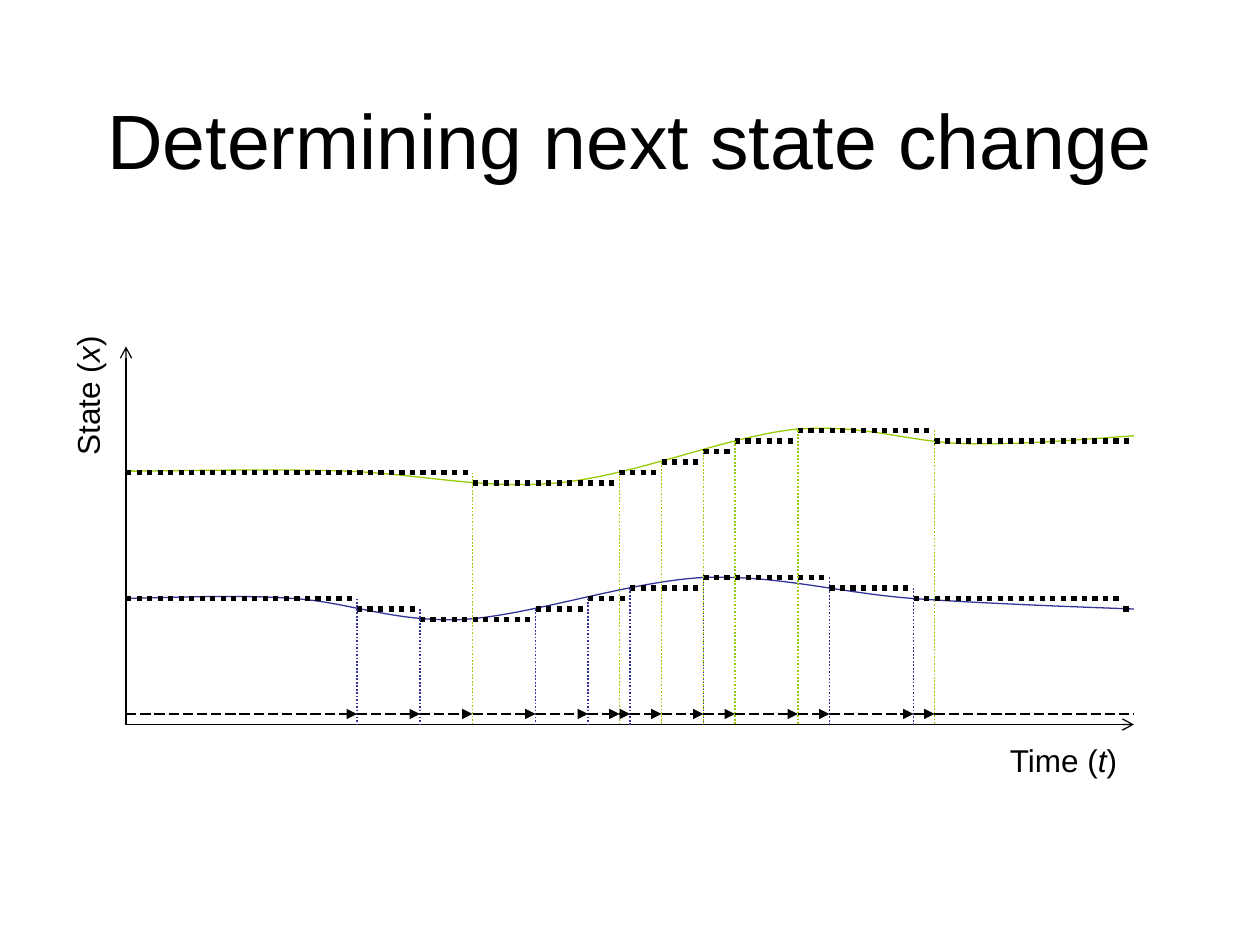
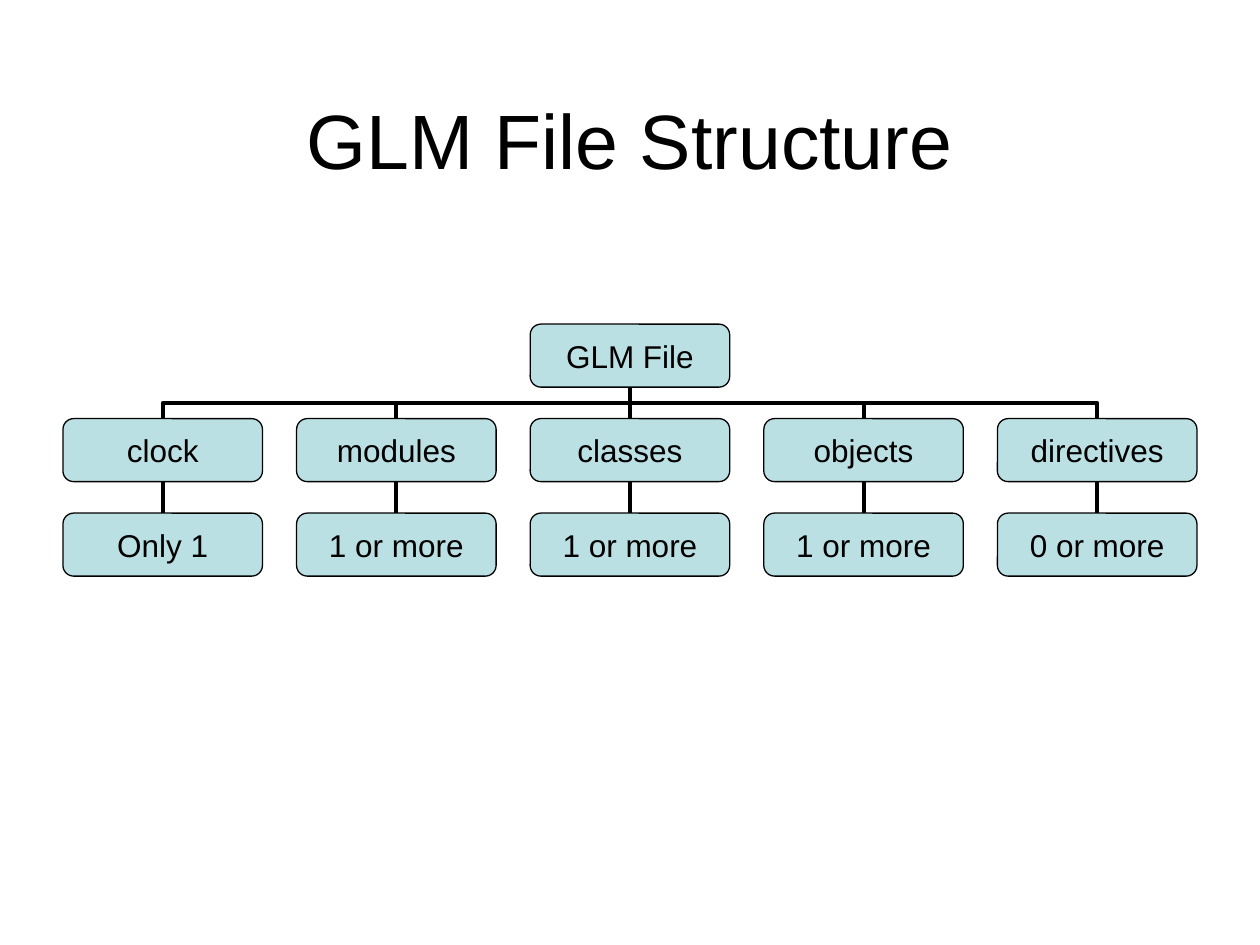
from itertools import pairwise

from pptx import Presentation
from pptx.dml.color import RGBColor
from pptx.enum.dml import MSO_LINE
from pptx.enum.shapes import MSO_CONNECTOR, MSO_SHAPE
from pptx.enum.text import MSO_ANCHOR, MSO_AUTO_SIZE, PP_ALIGN
from pptx.oxml.ns import qn
from pptx.oxml.xmlchemy import OxmlElement
from pptx.util import Emu, Pt

PX = 9525
FONT = "Arial"
BLACK = RGBColor(0x00, 0x00, 0x00)
BLUE = RGBColor(0x33, 0x33, 0x99)
GREEN = RGBColor(0x99, 0xCC, 0x00)
PALE_TEAL = RGBColor(0xBB, 0xE0, 0xE3)
DOTS = MSO_LINE.ROUND_DOT
DASHES = MSO_LINE.LONG_DASH
STRAIGHT = MSO_CONNECTOR.STRAIGHT
ELBOW = MSO_CONNECTOR.ELBOW
ROUNDED = MSO_SHAPE.ROUNDED_RECTANGLE
MIDDLE = MSO_ANCHOR.MIDDLE
FIXED_SIZE = MSO_AUTO_SIZE.NONE
LEFT = PP_ALIGN.LEFT
CENTER = PP_ALIGN.CENTER

TITLE_BOX = (48, 64, 864, 84)
PLOT_BOX = (96, 264, 768, 288)
TREE_BOX = (48, 247, 864, 192)

GREEN_CURVE = [
    (768, 68), (725, 71), (683, 75), (639, 74), (597, 73), (563, 59),
    (511, 63), (459, 68), (386, 99), (328, 104), (272, 109), (223, 97),
    (168, 95), (113, 93), (27, 95), (0, 95),
]
BLUE_CURVE = [
    (0, 192), (43, 191), (85, 189), (128, 192), (171, 195), (204, 210),
    (256, 208), (308, 205), (383, 179), (440, 176), (497, 174), (545, 188),
    (600, 192), (655, 196), (741, 199), (768, 200),
]
GREEN_STEPS = [
    (0, 96), (264, 104), (376, 96), (408, 88), (440, 80), (464, 72),
    (512, 64), (616, 72),
]
BLUE_STEPS = [
    (0, 192), (176, 200), (224, 208), (312, 200), (352, 192), (384, 184),
    (440, 176), (536, 184), (600, 192),
]
BLUE_LAST_STEP = (760, 200)

SECTIONS = [
    ("clock", "Only 1"),
    ("modules", "1 or more"),
    ("classes", "1 or more"),
    ("objects", "1 or more"),
    ("directives", "0 or more"),
]


def px(*lengths):
    return [Emu(round(length * PX)) for length in lengths]


def write_text(frame, text, size=18, align=CENTER, anchor=MIDDLE, wrap=False):
    frame.word_wrap = wrap
    frame.auto_size = FIXED_SIZE
    frame.vertical_anchor = anchor
    paragraph = frame.paragraphs[0]
    paragraph.alignment = align
    for index, part in enumerate(text.split("*")):
        run = paragraph.add_run()
        run.text = part
        run.font.name = FONT
        run.font.size = Pt(size)
        run.font.italic = index % 2 == 1
        run.font.color.rgb = BLACK


def draw_line(slide, start, end, color=BLACK, width=0.75, dash=None, head=None, kind=STRAIGHT):
    connector = slide.shapes.add_connector(kind, *px(*start, *end))
    connector.line.color.rgb = color
    connector.line.width = Pt(width)
    if dash:
        connector.line.dash_style = dash
    if head:
        arrowhead = OxmlElement("a:tailEnd")
        arrowhead.set("type", head)
        connector.line._get_or_add_ln().append(arrowhead)
    connector._element.spPr.append(OxmlElement("a:effectLst"))
    return connector


def draw_curve(slide, points, color):
    builder = slide.shapes.build_freeform(*points[0], scale=PX)
    builder.add_line_segments(points[1:], close=False)
    curve = builder.convert_to_shape()
    curve.shadow.inherit = False
    curve.fill.background()
    curve.line.color.rgb = color
    curve.line.width = Pt(0.75)
    outline = next(curve._element.iter(qn("a:path")))
    segments = outline.findall(qn("a:lnTo"))
    for first in range(0, len(segments), 3):
        bezier = OxmlElement("a:cubicBezTo")
        for segment in segments[first:first + 3]:
            bezier.append(segment[0])
            outline.remove(segment)
        outline.append(bezier)


def add_titled_slide(deck, title):
    slide = deck.slides.add_slide(deck.slide_layouts[5])
    heading = slide.shapes.title
    heading.left, heading.top, heading.width, heading.height = px(*TITLE_BOX)
    write_text(heading.text_frame, title, size=44, wrap=True)
    return slide


def add_axis_label(slide, box, text, rotation=0):
    label = slide.shapes.add_textbox(*px(*box))
    label.rotation = rotation
    write_text(label.text_frame, text, align=LEFT)


def add_state_plot(slide, box):
    left, top, width, height = box

    def at(x, y):
        return left + x, top + y

    draw_line(slide, at(0, height), at(width, height), head="arrow")
    draw_line(slide, at(0, height), at(0, 0), head="arrow")
    add_axis_label(slide, (*at(664, 296), 102, 38), "Time (*t*)")
    add_axis_label(slide, (*at(-84, 19), 109, 38), "State (*x*)", rotation=270)

    for points, color in ((BLUE_CURVE, BLUE), (GREEN_CURVE, GREEN)):
        draw_curve(slide, [at(*point) for point in points], color)

    for steps in (GREEN_STEPS, BLUE_STEPS + [BLUE_LAST_STEP]):
        for (start, level), (end, _) in pairwise(steps + [(width, 0)]):
            draw_line(slide, at(start, level), at(end, level), width=3, dash=DOTS)

    for steps, color in ((BLUE_STEPS, BLUE), (GREEN_STEPS, GREEN)):
        for (_, before), (time, after) in pairwise(steps):
            draw_line(slide, at(time, min(before, after)), at(time, height),
                      color=color, width=1, dash=DOTS)

    events = sorted({time for time, _ in BLUE_STEPS + GREEN_STEPS})
    for start, end in pairwise(events + [width]):
        draw_line(slide, at(start, height - 8), at(end, height - 8), dash=DASHES,
                  head="triangle" if end < width else None)


def draw_branch(slide, child, parent):
    run, rise = parent[0] - child[0], child[1] - parent[1]
    middle_x, middle_y = child[0] + run / 2, child[1] - rise / 2
    branch = draw_line(slide, (middle_x - rise / 2, middle_y - run / 2),
                       (middle_x + rise / 2, middle_y + run / 2), width=2.25, kind=ELBOW)
    branch._element.spPr.find(qn("a:xfrm")).set("rot", str(270 * 60000))


def add_node(slide, box, text):
    node = slide.shapes.add_shape(ROUNDED, *px(*box))
    node.adjustments[0] = 0.17
    node.shadow.inherit = False
    node.fill.solid()
    node.fill.fore_color.rgb = PALE_TEAL
    node.line.color.rgb = BLACK
    node.line.width = Pt(0.75)
    write_text(node.text_frame, text)


def add_file_tree(slide, box):
    left, top, width, height = box
    node_width, node_height = 152, 48
    column_pitch = (width - node_width) // (len(SECTIONS) - 1)
    row_pitch = (height - node_height) // 2
    root_left = left + (width - node_width) // 2
    root_bottom = (root_left + node_width // 2, top + node_height)
    section_top, count_top = top + row_pitch, top + 2 * row_pitch
    columns = [left + index * column_pitch for index in range(len(SECTIONS))]

    for column in columns:
        center = column + node_width // 2
        draw_line(slide, (center, count_top), (center, section_top + node_height), width=2.25)
        draw_branch(slide, (center, section_top), root_bottom)

    add_node(slide, (root_left, top, node_width, node_height), "GLM File")
    for column, (section, count) in zip(columns, SECTIONS):
        add_node(slide, (column, section_top, node_width, node_height), section)
        add_node(slide, (column, count_top, node_width, node_height), count)


def main():
    deck = Presentation()
    deck.slide_width, deck.slide_height = px(960, 720)
    add_state_plot(add_titled_slide(deck, "Determining next state change"), PLOT_BOX)
    add_file_tree(add_titled_slide(deck, "GLM File Structure"), TREE_BOX)
    deck.save("out.pptx")


if __name__ == "__main__":
    main()
